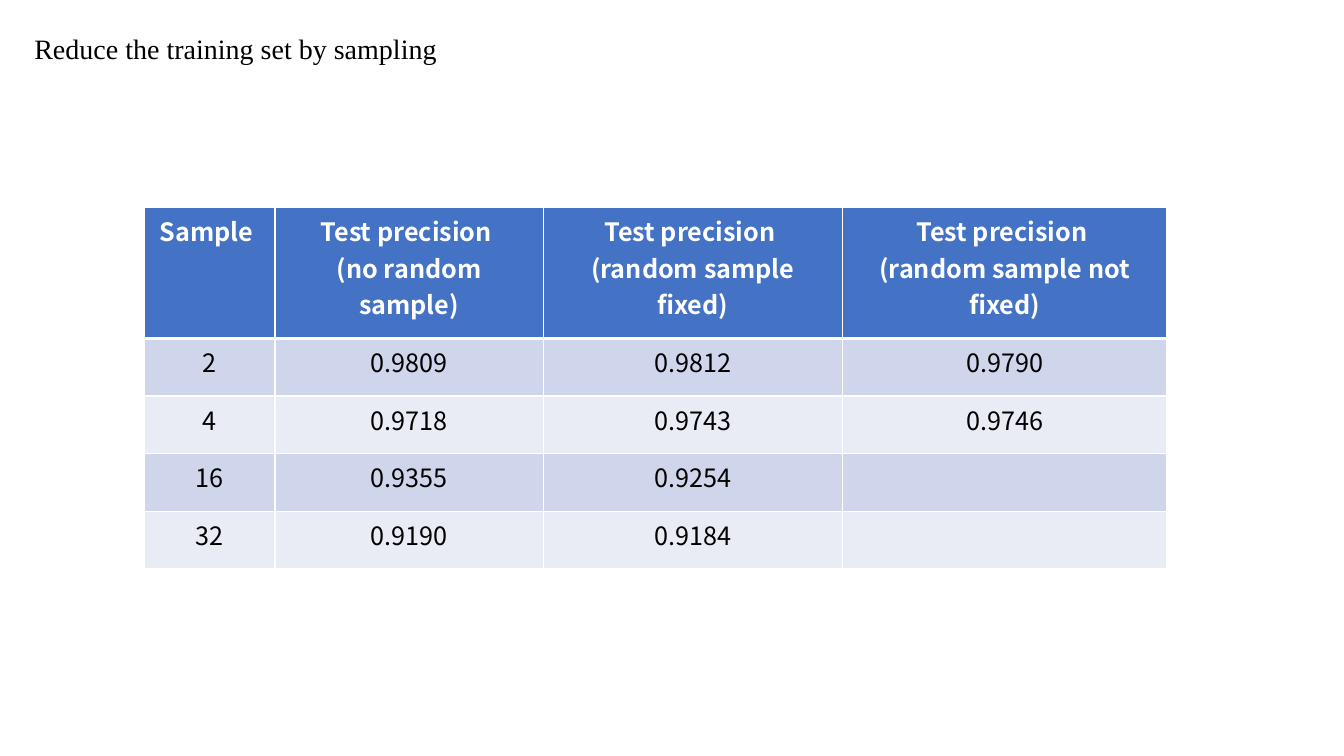
"""Build a slide with a table of test precision by training set sample."""
from dataclasses import dataclass

from lxml import etree
from pptx import Presentation
from pptx.dml.color import RGBColor
from pptx.enum.text import MSO_ANCHOR, PP_ALIGN
from pptx.oxml.ns import qn
from pptx.util import Cm, Pt

CENTER = PP_ALIGN.CENTER
LEFT = PP_ALIGN.LEFT
TOP = MSO_ANCHOR.TOP


@dataclass(frozen=True)
class Theme:
    title_font: str = "Times New Roman"
    table_font: str = "Noto Sans CJK SC"
    title_size: int = 20
    table_size: int = 18
    black: str = "000000"
    white: str = "FFFFFF"
    header: str = "4472C4"
    bands: tuple = ("CFD5EA", "E9EBF5")


THEME = Theme()


def format_text(text_frame, font_name, size, color, bold, alignment):
    for paragraph in text_frame.paragraphs:
        paragraph.alignment = alignment
        for run in paragraph.runs:
            run.font.name = font_name
            run.font.size = Pt(size)
            run.font.bold = bold
            run.font.color.rgb = RGBColor.from_string(color)


def add_border(cell, side, width):
    properties = cell._tc.get_or_add_tcPr()
    line = etree.SubElement(properties, qn(f"a:ln{side}"), w=str(Pt(width)))
    fill = etree.SubElement(line, qn("a:solidFill"))
    etree.SubElement(fill, qn("a:srgbClr"), val=THEME.white)


presentation = Presentation()
presentation.slide_width = Cm(33.87)
presentation.slide_height = Cm(19.05)
slide = presentation.slides.add_slide(presentation.slide_layouts[5])

title = slide.shapes.title
title.left, title.top, title.width, title.height = Cm(0.61), Cm(0.66), Cm(18.75), Cm(1.11)
title.text_frame.text = "Reduce the training set by sampling"
title.text_frame.vertical_anchor = TOP
format_text(title.text_frame, THEME.title_font, THEME.title_size, THEME.black, False, LEFT)

rows = [
    ("Sample ", "Test precision \n(no random sample)",
     "Test precision \n(random sample fixed)",
     "Test precision \n(random sample not fixed)"),
    ("2", "0.9809", "0.9812", "0.9790"),
    ("4", "0.9718", "0.9743", "0.9746"),
    ("16", "0.9355", "0.9254", ""),
    ("32", "0.9190", "0.9184", ""),
]
column_widths = [3.3, 6.76, 7.54, 8.18]
row_heights = [3.3] + [1.45] * 4

table = slide.shapes.add_table(
    len(rows), len(column_widths), Cm(3.63), Cm(5.23),
    Cm(sum(column_widths)), Cm(sum(row_heights))).table
for column, width in zip(table.columns, column_widths):
    column.width = Cm(width)
for row, height in zip(table.rows, row_heights):
    row.height = Cm(height)

for row_index, values in enumerate(rows):
    is_header = row_index == 0
    fill_color = THEME.header if is_header else THEME.bands[(row_index - 1) % 2]
    text_color = THEME.white if is_header else THEME.black
    border_widths = {"L": 1, "R": 1, "T": 3 if row_index == 1 else 1, "B": 3 if is_header else 1}
    for column_index, value in enumerate(values):
        cell = table.cell(row_index, column_index)
        for side, width in border_widths.items():
            add_border(cell, side, width)
        cell.fill.solid()
        cell.fill.fore_color.rgb = RGBColor.from_string(fill_color)
        cell.text_frame.text = value
        format_text(cell.text_frame, THEME.table_font, THEME.table_size,
                    text_color, is_header, CENTER)

presentation.save("out.pptx")
